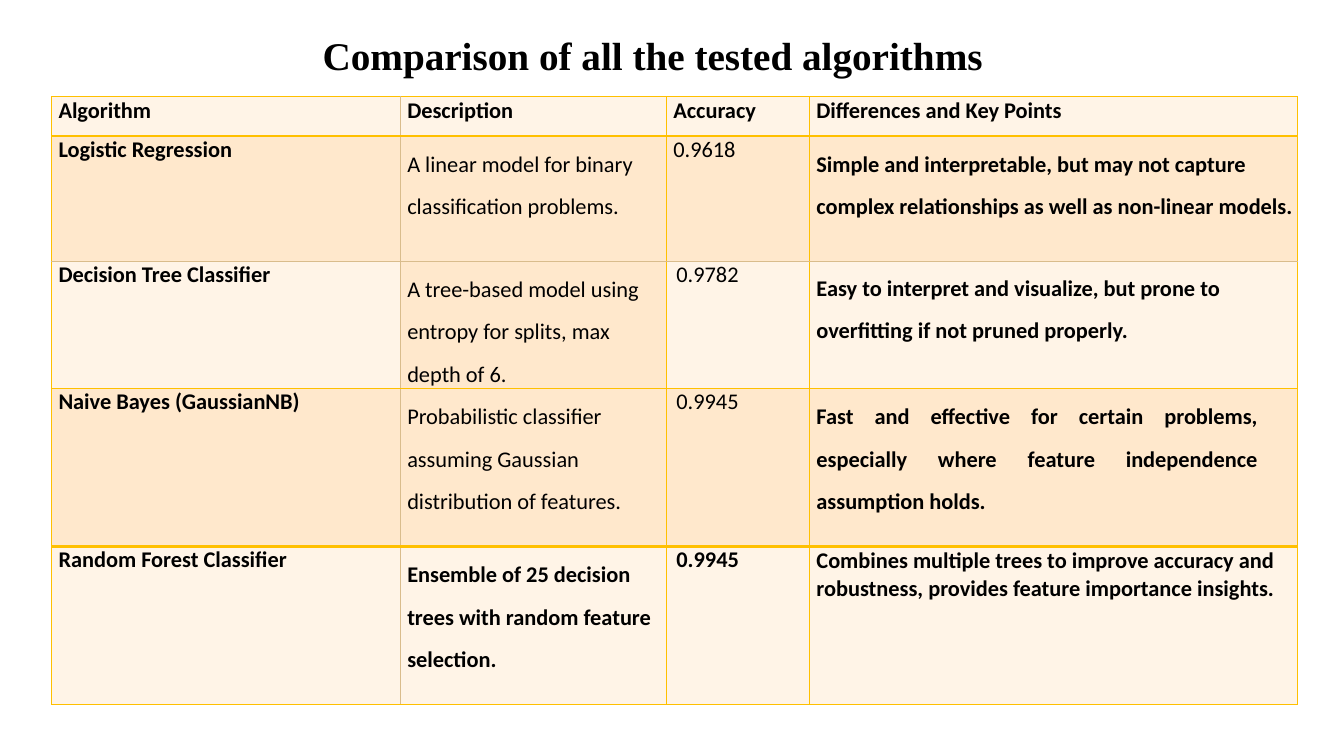
"""Build the slide that compares the tested classification algorithms."""
import dataclasses

import lxml.etree
import pptx
import pptx.dml.color
import pptx.enum.text
import pptx.oxml.ns
import pptx.presentation
import pptx.slide
import pptx.table
import pptx.text.text
import pptx.util

SLIDE_WIDTH = pptx.util.Inches(13.33)
SLIDE_HEIGHT = pptx.util.Inches(7.5)
COLORS = {"text": "000000", "light": "FFF4E7", "deep": "FFE8CC",
          "gold": "FFC000", "tan": "D9BC8C"}
COLUMN_PERCENTS = (25.95, 19.8, 10.65, 36.3)
ROW_PERCENTS = (5.2, 16.53, 16.53, 20.93, 20.93)
HEAVY_ROW_EDGES = (1, 4)
THIN_ROW_EDGE = 2
THIN_COLUMN_EDGE = 1


@dataclasses.dataclass(frozen=True)
class CellContent:
    text: str
    bold: bool = True
    fill: str = "light"
    spacing: float = 1.0
    indent: float = 0.07
    justified: bool = False


ROWS = (
    (CellContent("Algorithm"), CellContent("Description"),
     CellContent("Accuracy"), CellContent("Differences and Key Points")),
    (CellContent("Logistic Regression", fill="deep"),
     CellContent("A linear model for binary classification problems.",
                 False, "deep", 1.55),
     CellContent("0.9618", False, "deep"),
     CellContent("Simple and interpretable, but may not capture complex "
                 "relationships as well as non-linear models.",
                 True, "deep", 1.55)),
    (CellContent("Decision Tree Classifier"),
     CellContent("A tree-based model using entropy for splits, max depth of 6.",
                 False, "deep", 1.55),
     CellContent("0.9782", False, indent=0.1),
     CellContent("Easy to interpret and visualize, but prone to overfitting "
                 "if not pruned properly.", spacing=1.53)),
    (CellContent("Naive Bayes (GaussianNB)", fill="deep"),
     CellContent("Probabilistic classifier assuming Gaussian distribution "
                 "of features.", False, "deep", 1.55),
     CellContent("0.9945", False, "deep", indent=0.1),
     CellContent("Fast and effective for certain problems, especially where "
                 "feature independence assumption holds.",
                 True, "deep", 1.55, justified=True)),
    (CellContent("Random Forest Classifier"),
     CellContent("Ensemble of 25 decision trees with random feature selection.",
                 spacing=1.55),
     CellContent("0.9945", indent=0.1),
     CellContent("Combines multiple trees to improve accuracy and robustness, "
                 "provides feature importance insights.", spacing=1.02)),
)


def across(percent: float) -> int:
    """Return a share of the slide's width."""
    return round(SLIDE_WIDTH * percent / 100)


def down(percent: float) -> int:
    """Return a share of the slide's height."""
    return round(SLIDE_HEIGHT * percent / 100)


def style_paragraph(paragraph: pptx.text.text._Paragraph, font_name: str,
                    size: int, bold: bool) -> None:
    """Format every run of a paragraph."""
    for run in paragraph.runs:
        run.font.name = font_name
        run.font.size = pptx.util.Pt(size)
        run.font.bold = bold
        run.font.color.rgb = pptx.dml.color.RGBColor.from_string(COLORS["text"])


def edge_style(edge: int, heavy: tuple[int, ...], thin: int) -> tuple[str, float]:
    """Return the colour and width in points of a grid edge."""
    if edge in heavy:
        return "gold", 2
    return ("tan", 0.5) if edge == thin else ("gold", 1)


def draw_borders(cell: pptx.table._Cell, row: int, column: int) -> None:
    """Draw the four borders of a cell."""
    properties = cell._tc.get_or_add_tcPr()
    edges = (
        ("a:lnL", edge_style(column, (), THIN_COLUMN_EDGE)),
        ("a:lnR", edge_style(column + 1, (), THIN_COLUMN_EDGE)),
        ("a:lnT", edge_style(row, HEAVY_ROW_EDGES, THIN_ROW_EDGE)),
        ("a:lnB", edge_style(row + 1, HEAVY_ROW_EDGES, THIN_ROW_EDGE)),
    )
    for position, (tag, (color, width)) in enumerate(edges):
        line = lxml.etree.Element(pptx.oxml.ns.qn(tag), w=str(pptx.util.Pt(width)))
        fill = lxml.etree.SubElement(line, pptx.oxml.ns.qn("a:solidFill"))
        lxml.etree.SubElement(fill, pptx.oxml.ns.qn("a:srgbClr"), val=COLORS[color])
        properties.insert(position, line)


def fill_cell(cell: pptx.table._Cell, content: CellContent) -> None:
    """Write and format the content of a cell."""
    cell.margin_left = pptx.util.Inches(content.indent)
    cell.margin_right = pptx.util.Inches(0.39 if content.justified else 0)
    cell.margin_top = cell.margin_bottom = 0
    cell.fill.solid()
    cell.fill.fore_color.rgb = pptx.dml.color.RGBColor.from_string(
        COLORS[content.fill])
    cell.text_frame.text = content.text
    paragraph = cell.text_frame.paragraphs[0]
    paragraph.line_spacing = content.spacing
    if content.justified:
        paragraph.alignment = pptx.enum.text.PP_ALIGN.JUSTIFY
    style_paragraph(paragraph, "Calibri", 16, content.bold)


def add_comparison(slide: pptx.slide.Slide) -> None:
    """Add the table of algorithms."""
    table = slide.shapes.add_table(
        len(ROW_PERCENTS), len(COLUMN_PERCENTS), across(3.83), down(12.8),
        across(sum(COLUMN_PERCENTS)), down(sum(ROW_PERCENTS))).table
    table.first_row = table.horz_banding = False
    for column, percent in zip(table.columns, COLUMN_PERCENTS):
        column.width = across(percent)
    for row, percent in zip(table.rows, ROW_PERCENTS):
        row.height = down(percent)
    for row_index, contents in enumerate(ROWS):
        for column_index, content in enumerate(contents):
            cell = table.cell(row_index, column_index)
            fill_cell(cell, content)
            draw_borders(cell, row_index, column_index)


def add_title(slide: pptx.slide.Slide) -> None:
    """Add the slide's title."""
    shape = slide.shapes.add_textbox(across(15.75), down(3.07),
                                     across(58.74), down(13.87))
    text_frame = shape.text_frame
    text_frame.word_wrap = True
    text_frame.margin_left = pptx.util.Inches(1.1)
    text_frame.margin_right = 0
    text_frame.margin_top = pptx.util.Inches(0.08)
    text_frame.text = "Comparison of all the tested algorithms"
    style_paragraph(text_frame.paragraphs[0], "Times New Roman", 28, True)


def main() -> None:
    """Create and save the presentation."""
    presentation = pptx.Presentation()
    presentation.slide_width = SLIDE_WIDTH
    presentation.slide_height = SLIDE_HEIGHT
    slide = presentation.slides.add_slide(presentation.slide_layouts[6])
    add_comparison(slide)
    add_title(slide)
    presentation.save("out.pptx")


if __name__ == "__main__":
    main()
